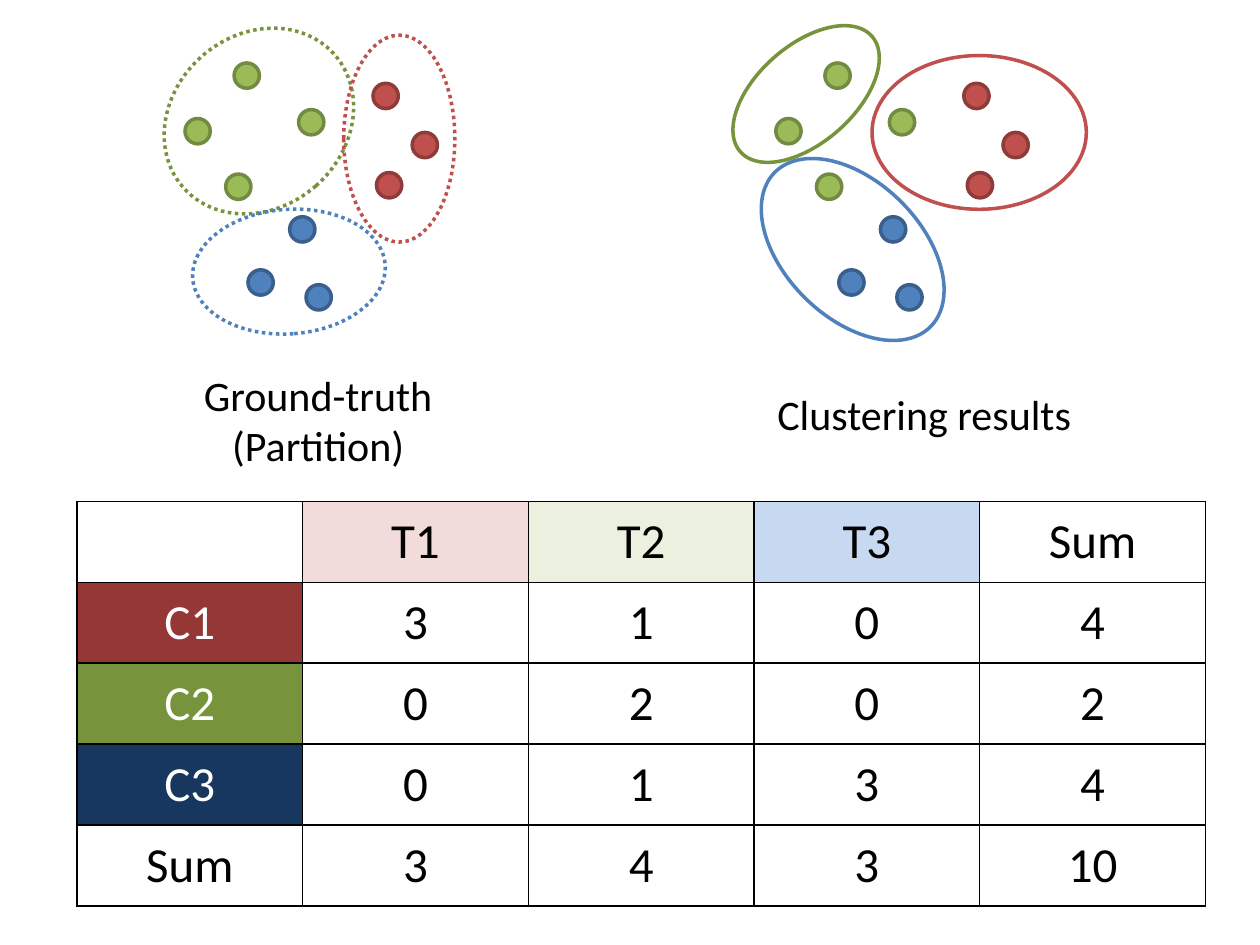
from pptx import Presentation
from pptx.dml.color import RGBColor
from pptx.enum.dml import MSO_LINE_DASH_STYLE as DASH
from pptx.enum.shapes import MSO_SHAPE
from pptx.enum.text import MSO_ANCHOR, MSO_AUTO_SIZE, PP_ALIGN
from pptx.oxml import parse_xml
from pptx.oxml.ns import nsdecls
from pptx.util import Cm, Pt

BLUE, RED, GREEN = "4F81BD", "C0504D", "9BBB59"
DARK_GREEN = "77933C"


def paint(color_target, color):
    """Give a fill, or the fill of a line, a solid colour."""
    color_target.solid()
    color_target.fore_color.rgb = RGBColor.from_string(color)


def add_run(p, text, size, color="000000"):
    r = p.add_run()
    r.text = text
    r.font.name, r.font.size = "Calibri", Pt(size)
    r.font.color.rgb = RGBColor.from_string(color)


prs = Presentation()
prs.slide_width, prs.slide_height = Cm(25.4), Cm(19.05)
s = prs.slides.add_slide(prs.slide_layouts[6])

# The same ten points in both diagrams
points = [
    (BLUE, "3A5F8C", [(5, 5.44), (6.17, 5.74), (5.84, 4.37)]),
    (RED, "8E3B39", [(7.59, 3.48), (8.31, 2.67), (7.52, 1.68)]),
    (GREEN, "738A42", [(4.55, 3.51), (6.02, 2.21), (3.73, 2.39), (4.72, 1.27)]),
]
for shift in (0, 11.91):
    group = s.shapes.add_group_shape()
    for fill, line, places in points:
        for x, y in places:
            sp = group.shapes.add_shape(MSO_SHAPE.OVAL, Cm(x + shift), Cm(y), Cm(0.51), Cm(0.51))
            sp.shadow.inherit = False
            paint(sp.fill, fill)
            paint(sp.line.fill, line)
            sp.line.width = Pt(2)

# Outlines: dotted for the true classes, solid for the clusters
outlines = [
    (17.58, 1.12, 4.32, 3.1, 0, RED, DASH.SOLID),
    (15.82, 2.82, 2.74, 4.42, 314.7, BLUE, DASH.SOLID),
    (15.27, 0.13, 1.96, 3.53, 228.7, DARK_GREEN, DASH.SOLID),
    (3.48, 0.41, 3.48, 4.06, 228.7, DARK_GREEN, DASH.ROUND_DOT),
    (6.93, 0.71, 2.24, 4.17, 0, RED, DASH.ROUND_DOT),
    (4.57, 3.53, 2.51, 3.89, 265.9, BLUE, DASH.ROUND_DOT),
]
for x, y, w, h, angle, color, dash in outlines:
    sp = s.shapes.add_shape(MSO_SHAPE.OVAL, Cm(x), Cm(y), Cm(w), Cm(h))
    sp.shadow.inherit = False
    sp.rotation = angle
    sp.fill.background()
    paint(sp.line.fill, color)
    sp.line.width = Pt(2)
    sp.line.dash_style = dash

# Captions
captions = [
    (2.92, 7.32, 6.99, 2.31, PP_ALIGN.CENTER, ["Ground-truth", "(Partition)"]),
    (15.42, 7.7, 7.54, 1.27, PP_ALIGN.LEFT, ["Clustering results"]),
]
for x, y, w, h, align, lines in captions:
    tf = s.shapes.add_textbox(Cm(x), Cm(y), Cm(w), Cm(h)).text_frame
    tf.word_wrap = True
    tf.auto_size = MSO_AUTO_SIZE.SHAPE_TO_FIT_TEXT
    for i, text in enumerate(lines):
        p = tf.add_paragraph() if i else tf.paragraphs[0]
        p.alignment = align
        add_run(p, text, 24)

# Contingency table
rows = [
    ["", "T1", "T2", "T3", "Sum"],
    ["C1", "3", "1", "0", "4"],
    ["C2", "0", "2", "0", "2"],
    ["C3", "0", "1", "3", "4"],
    ["Sum", "3", "4", "3", "10"],
]
class_fills = {"T1": "F2DCDB", "T2": "EBF1DE", "T3": "C6D9F1"}
cluster_fills = {"C1": "953735", "C2": DARK_GREEN, "C3": "17375E"}
fills = class_fills | cluster_fills
table = s.shapes.add_table(5, 5, Cm(1.55), Cm(10.11), Cm(22.75), Cm(8.15)).table
table.first_row = table.horz_banding = False
for column in table.columns:
    column.width = Cm(4.55)
for row in table.rows:
    row.height = Cm(1.63)

for i, values in enumerate(rows):
    for j, text in enumerate(values):
        cell = table.cell(i, j)
        cell.vertical_anchor = MSO_ANCHOR.MIDDLE
        if text in fills:
            paint(cell.fill, fills[text])
        else:
            cell.fill.background()
        p = cell.text_frame.paragraphs[0]
        p.alignment = PP_ALIGN.CENTER
        if text:
            add_run(p, text, 28, "FFFFFF" if text in cluster_fills else "000000")
        # Borders come before the fill in the cell properties
        tcPr = cell._tc.get_or_add_tcPr()
        for k, side in enumerate(("lnL", "lnR", "lnT", "lnB")):
            tcPr.insert(k, parse_xml(
                f'<a:{side} {nsdecls("a")} w="12700"><a:solidFill>'
                f'<a:srgbClr val="000000"/></a:solidFill></a:{side}>'))

prs.save("out.pptx")
